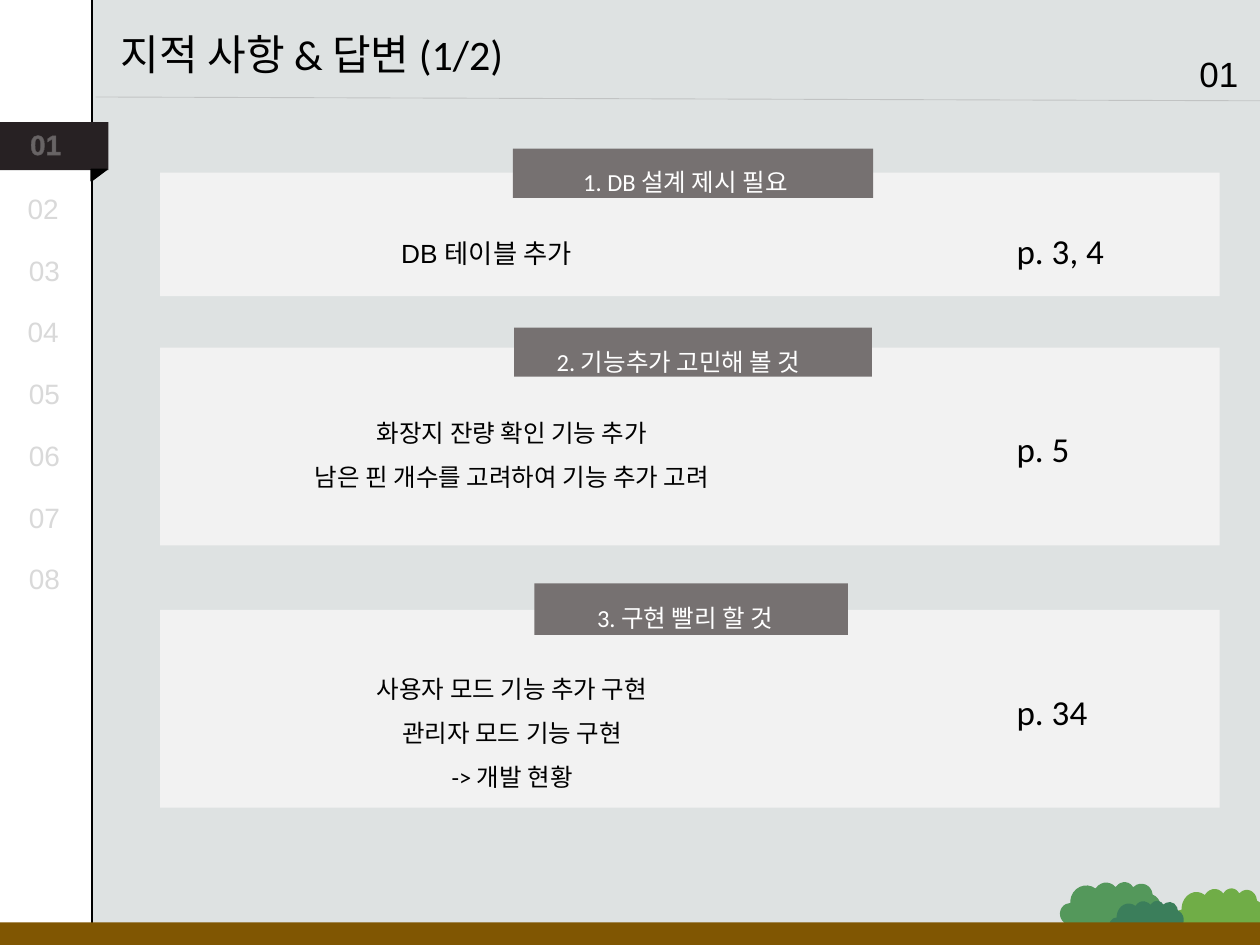
from dataclasses import dataclass
from typing import Any

from lxml import etree
from pptx import Presentation
from pptx import util as u
from pptx.dml.color import RGBColor
from pptx.enum import shapes, text
from pptx.oxml.ns import qn

COLORS = {
    "background": "DEE2E2", "panel": "F2F2F2", "tab": "767171",
    "white": "FFFFFF", "black": "000000", "muted": "D9D9D9",
    "rule": "A6A6A6", "active": "272123", "ground": "805602",
    "light_bush": "70AD47", "bush": "54985B", "dark_bush": "3B7E5B",
}
SHAPE = shapes.MSO_SHAPE


def rgb(name):
    return RGBColor.from_string(COLORS[name])


def add_solid_fill(parent, color, alpha):
    fill = etree.SubElement(parent, qn("a:solidFill"))
    clr = etree.SubElement(fill, qn("a:srgbClr"), val=COLORS[color])
    etree.SubElement(clr, qn("a:alpha"), val=str(alpha * 1000))


@dataclass
class Deck:
    slide: Any
    heading_font: str = "Calibri"
    number_font: str = "Arial"

    def shape(self, box, fill, kind=SHAPE.RECTANGLE, line=None, rotation=0):
        sp = self.slide.shapes.add_shape(kind, *map(u.Inches, box))
        sp.shadow.inherit = False
        sp.rotation = rotation
        sp.fill.solid()
        sp.fill.fore_color.rgb = rgb(fill)
        if line:
            sp.line.color.rgb = rgb(line)
            sp.line.width = u.Pt(1)
        else:
            sp.line.fill.background()

    def text(self, box, lines, size, font=None, color="black", bold=False,
             align=text.PP_ALIGN.LEFT, spacing=None, outline=None):
        sp = self.slide.shapes.add_textbox(*map(u.Inches, box))
        tf = sp.text_frame
        tf.word_wrap = True
        tf.auto_size = text.MSO_AUTO_SIZE.SHAPE_TO_FIT_TEXT
        for i, line in enumerate(lines):
            p = tf.add_paragraph() if i else tf.paragraphs[0]
            p.alignment = align
            if spacing:
                p.line_spacing = spacing
            p.font.name = font or self.heading_font
            p.font.size = u.Pt(size)
            p.font.bold = bold
            p.font.color.rgb = rgb(color)
            r = p.add_run()
            r.text = line
            if outline:
                ln = etree.SubElement(r._r.get_or_add_rPr(), qn("a:ln"), w="9525")
                add_solid_fill(ln, outline, 30)

    def rule(self, start, end):
        cxn = self.slide.shapes.add_connector(
            shapes.MSO_CONNECTOR.STRAIGHT, *map(u.Inches, start + end))
        cxn.line.width = u.Pt(0.5)
        add_solid_fill(cxn.line._get_or_add_ln(), "rule", 50)
        etree.SubElement(cxn._element.spPr, qn("a:effectLst"))

    def section(self, panel, tab, title, title_box, body, body_box,
                body_size, body_font, page, page_top):
        self.shape(panel, "panel")
        self.shape(tab, "tab")
        self.text(title_box, [title], 14, color="white", spacing=2)
        self.text(body_box, body, body_size, body_font,
                  align=text.PP_ALIGN.CENTER, spacing=1.5)
        self.text((7.97, page_top, 1.77, 0.44), [page], 20)

    def sidebar(self):
        self.shape((-0.04, -0.01, 0.77, 7.5), "white", line="black")
        for n in range(2, 9):
            left = 0.12 if n in (2, 4) else 0.13
            self.text((left, 1.47 + 0.49 * (n - 2), 0.49, 0.37), [f"{n:02}"], 16,
                      self.number_font, "muted", outline="black")
        self.shape((-0.05, 0.97, 0.91, 0.38), "active")
        self.shape((0.74, 1.33, 0.09, 0.12), "black", SHAPE.RIGHT_TRIANGLE,
                   line="black", rotation=90)
        self.text((0.14, 0.96, 0.59, 0.37), ["01"], 16, self.number_font,
                  "white", bold=True, outline="muted")

    def landscape(self):
        bushes = [
            ((9.3, 7.04, 0.74, 0.62), "light_bush"),
            ((8.41, 6.99, 0.81, 0.62), "bush"),
            ((8.8, 7.14, 0.6, 0.49), "dark_bush"),
        ]
        for box, fill in bushes:
            self.shape(box, fill, SHAPE.CLOUD, rotation=5.4)
        self.shape((0, 7.32, 10, 0.18), "ground")


def main():
    prs = Presentation()
    prs.slide_width, prs.slide_height = u.Inches(10), u.Inches(7.5)
    s = prs.slides.add_slide(prs.slide_layouts[6])
    s.background.fill.solid()
    s.background.fill.fore_color.rgb = rgb("background")
    deck = Deck(s)

    deck.sidebar()
    deck.rule((10, 0.8), (0.76, 0.77))
    deck.text((0.86, 0.18, 3.69, 0.5), ["지적 사항 & 답변 (1/2)"], 24)
    deck.text((9.42, 0.37, 0.54, 0.44), ["01"], 20, deck.number_font)
    deck.landscape()

    deck.section((1.27, 1.37, 8.41, 0.98), (4.07, 1.18, 2.86, 0.39),
                 "1. DB 설계 제시 필요", (4.53, 1.04, 2.06, 0.51),
                 ["DB 테이블 추가"], (1.91, 1.71, 3.9, 0.48),
                 15, deck.number_font, "p. 3, 4", 1.77)
    deck.section((1.27, 2.76, 8.41, 1.57), (4.08, 2.6, 2.84, 0.39),
                 "2. 기능추가 고민해 볼 것", (4.32, 2.47, 3.44, 0.5),
                 ["화장지 잔량 확인 기능 추가", "남은 핀 개수를 고려하여 기능 추가 고려"],
                 (1.61, 3.15, 4.91, 0.81),
                 14, deck.heading_font, "p. 5", 3.34)
    deck.section((1.27, 4.84, 8.41, 1.57), (4.24, 4.63, 2.49, 0.41),
                 "3. 구현 빨리 할 것", (4.64, 4.5, 2.09, 0.5),
                 ["사용자 모드 기능 추가 구현", "관리자 모드 기능 구현", "-> 개발 현황"],
                 (1.61, 5.18, 4.91, 1.16),
                 14, deck.heading_font, "p. 34", 5.43)
    prs.save("out.pptx")


if __name__ == "__main__":
    main()
